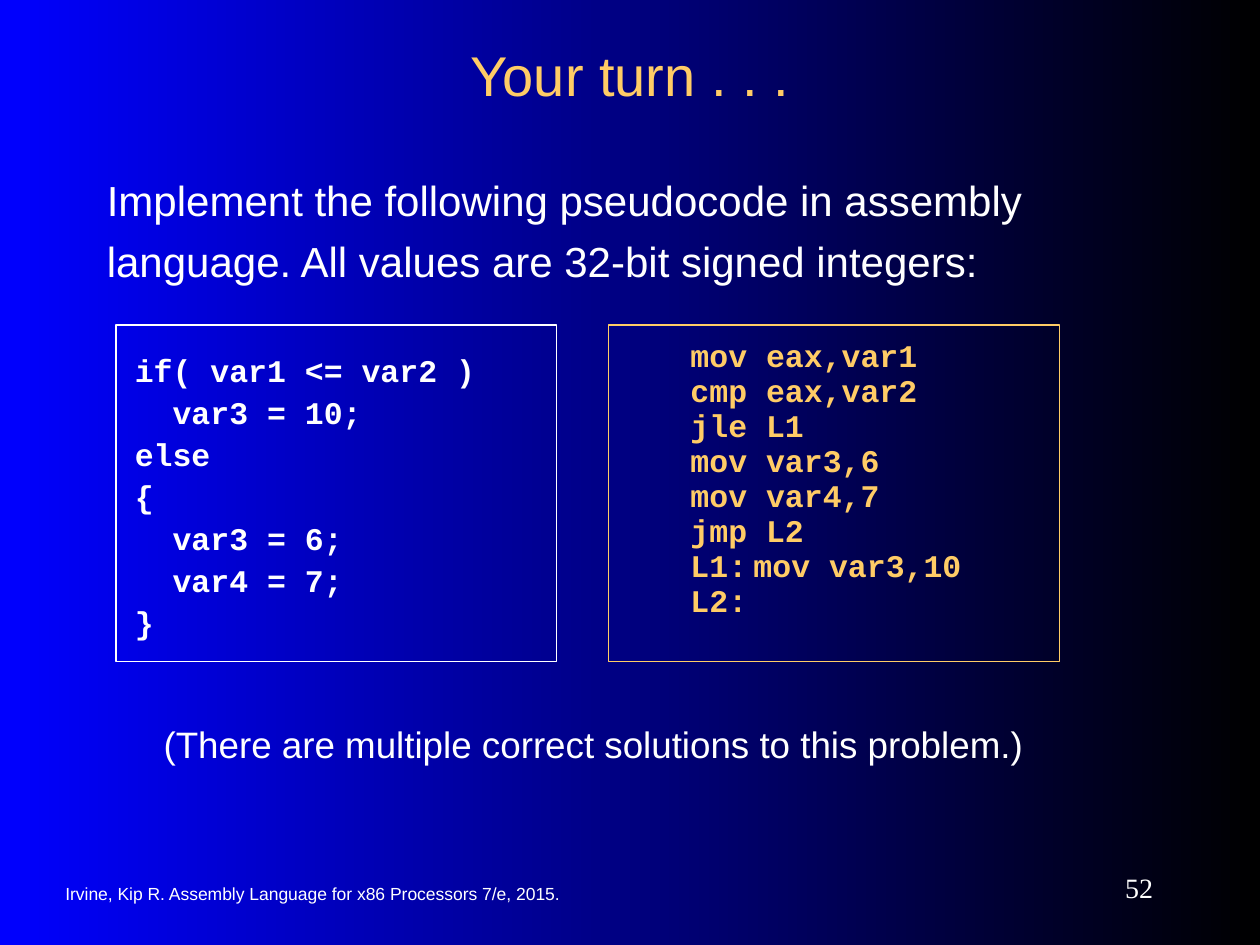
from pptx import Presentation
from pptx.dml.color import RGBColor
from pptx.enum.shapes import MSO_SHAPE
from pptx.enum.text import MSO_ANCHOR, MSO_AUTO_SIZE, PP_ALIGN
from pptx.util import Inches, Pt
from lxml.etree import SubElement
from pptx.oxml.ns import qn

WHITE = RGBColor(0xFF, 0xFF, 0xFF)
GOLD = RGBColor(0xFF, 0xCC, 0x66)
BLUE = RGBColor(0x00, 0x00, 0xFF)
BLACK = RGBColor(0x00, 0x00, 0x00)

PSEUDO = """if( var1 <= var2 )
  var3 = 10;
else
{
  var3 = 6;
  var4 = 7;
}"""
ANSWER = """mov eax,var1
cmp eax,var2
jle L1
mov var3,6
mov var4,7
jmp L2
L1:\tmov var3,10
L2:"""


def write(shape, text, size, color=WHITE, font="Arial", bold=False,
          align=PP_ALIGN.LEFT, anchor=MSO_ANCHOR.TOP, pitch=None,
          side=0.1, top=0.05, indent=0, tab=None):
    frame = shape.text_frame
    frame.word_wrap = True
    frame.auto_size = MSO_AUTO_SIZE.NONE
    frame.vertical_anchor = anchor
    frame.margin_left = frame.margin_right = Inches(side)
    frame.margin_top = frame.margin_bottom = Inches(top)
    for i, line in enumerate(text.split("\n")):
        para = frame.add_paragraph() if i else frame.paragraphs[0]
        props = para._p.get_or_add_pPr()
        if indent:
            props.set("marL", str(Inches(indent)))
            props.set("indent", "0")
        if tab:
            stops = SubElement(props, qn("a:tabLst"))
            SubElement(stops, qn("a:tab"), pos=str(Inches(tab)), algn="l")
        para.alignment = align
        if pitch:
            para.line_spacing = Pt(pitch)
        run = para.add_run()
        run.text = line
        run.font.size = Pt(size)
        run.font.name = font
        run.font.bold = bold
        run.font.color.rgb = color


def paint(slide):
    fill = slide.background.fill
    fill.gradient()
    fill.gradient_angle = 0
    for stop, color, place in zip(fill.gradient_stops, (BLUE, BLACK), (0, 1)):
        stop.color.rgb = color
        stop.position = place


def head(slide, box, text):
    title = slide.shapes.title
    title.left, title.top, title.width, title.height = map(Inches, box)
    write(title, text, 32, color=GOLD, align=PP_ALIGN.CENTER,
          anchor=MSO_ANCHOR.MIDDLE)


def note(slide, box, text, size, **form):
    area = slide.shapes.add_textbox(*map(Inches, box))
    write(area, text, size, **form)


def code(slide, box, text, color, **form):
    panel = slide.shapes.add_shape(MSO_SHAPE.RECTANGLE, *map(Inches, box))
    panel.shadow.inherit = False
    panel.fill.background()
    panel.line.color.rgb = color
    panel.line.width = Pt(0.75)
    write(panel, text, 18, color=color, font="Courier New", bold=True,
          side=0.15, **form)


def foot(slide, left, right, credit, number):
    note(slide, left, credit, 10, anchor=MSO_ANCHOR.MIDDLE)
    note(slide, right, number, 16, font="Times New Roman",
         align=PP_ALIGN.RIGHT, anchor=MSO_ANCHOR.MIDDLE)


def main():
    deck = Presentation()
    deck.slide_width, deck.slide_height = Inches(10), Inches(7.5)
    slide = deck.slides.add_slide(deck.slide_layouts[5])
    paint(slide)
    head(slide, (0.75, 0.25, 8.5, 0.67), "Your turn . . .")
    note(slide, (0.75, 1.25, 8.5, 1.33),
         "Implement the following pseudocode in assembly language. "
         "All values are 32-bit signed integers:", 24, pitch=35)
    code(slide, (4.83, 2.58, 3.58, 2.67), ANSWER, GOLD,
         pitch=20, top=0.11, indent=0.5, tab=0.5)
    code(slide, (0.92, 2.58, 3.5, 2.67), PSEUDO, WHITE, pitch=24, top=0.17)
    note(slide, (0.75, 5.58, 7.92, 0.65),
         "(There are multiple correct solutions to this problem.)", 21,
         align=PP_ALIGN.CENTER, top=0.15)
    foot(slide, (0.42, 6.93, 5.17, 0.33), (8.17, 6.83, 1.08, 0.42),
         "Irvine, Kip R. Assembly Language for x86 Processors 7/e, 2015.",
         "52")
    deck.save("out.pptx")


if __name__ == "__main__":
    main()
